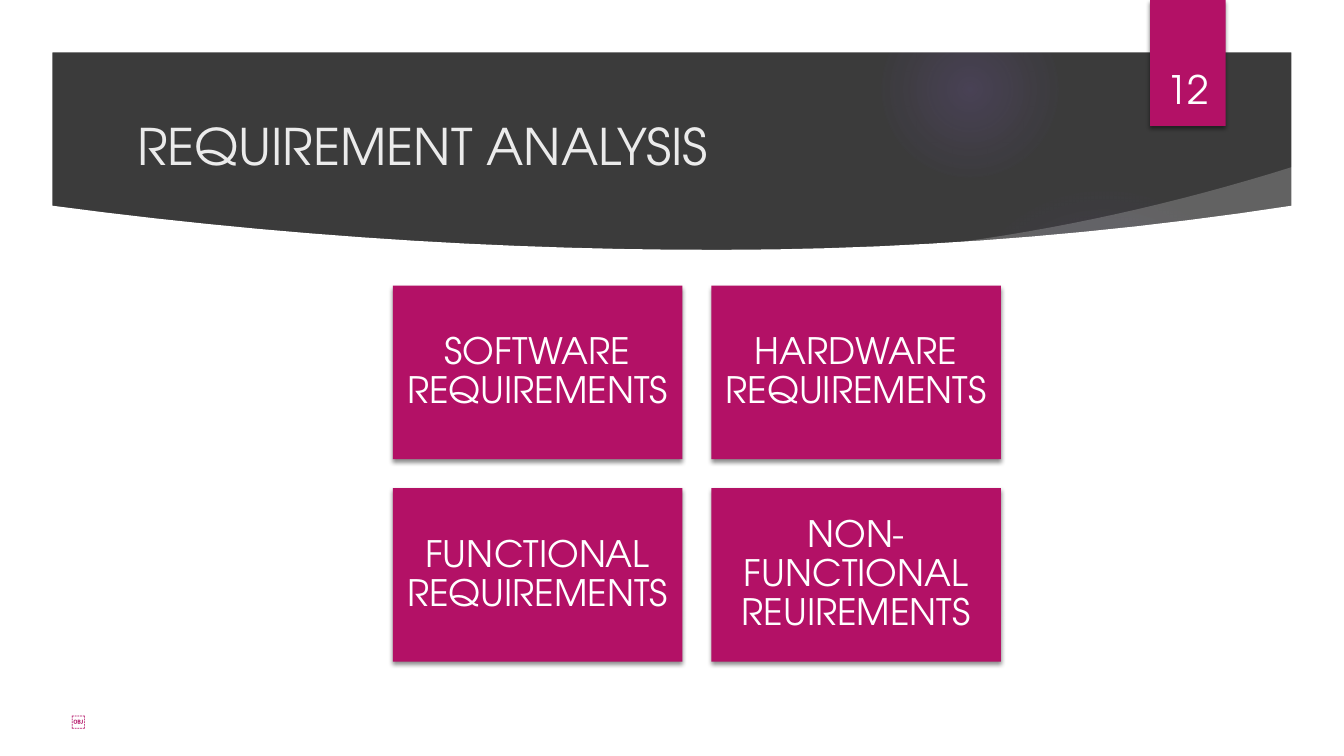
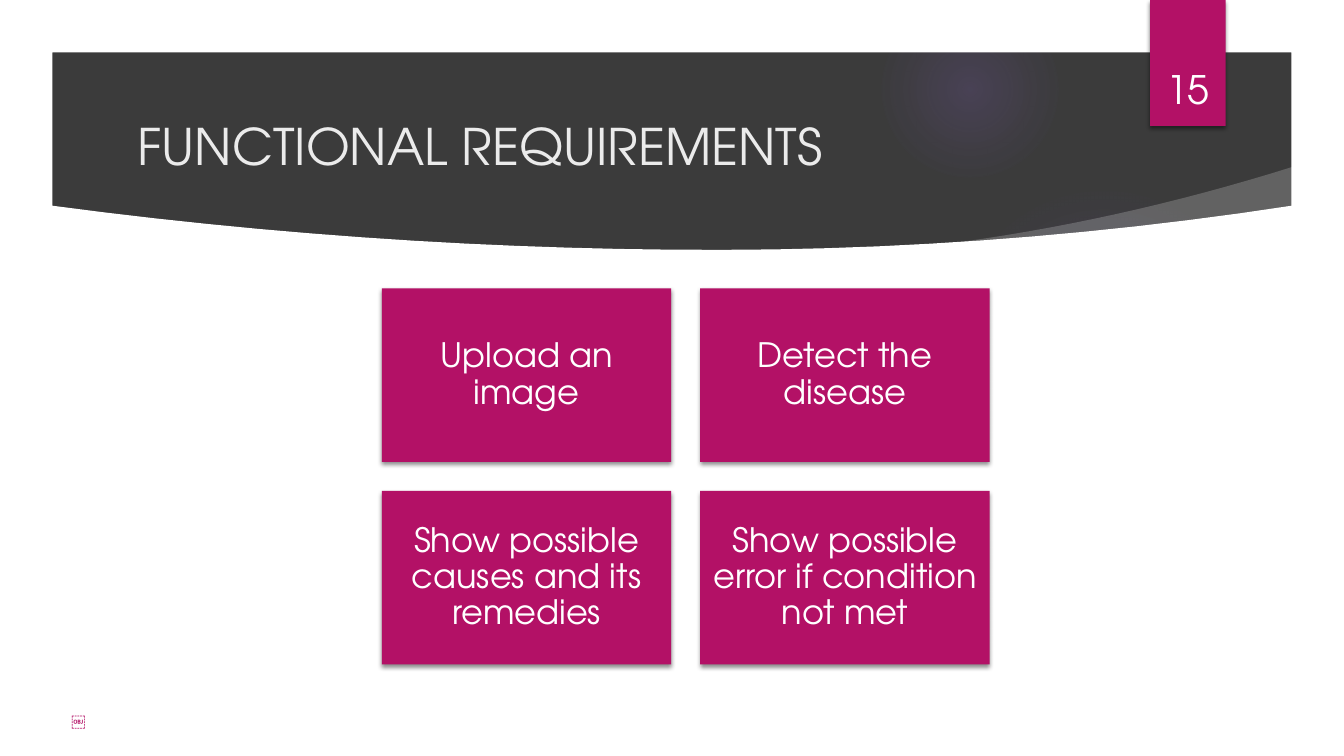
from lxml import etree
from pptx import Presentation
from pptx.dml.color import RGBColor
from pptx.enum import shapes, text
from pptx.oxml import ns
from pptx.util import Pt

WIDE, HIGH = 960, 540
LEFT, RIGHT, TOP = 37.5, 922.5, 37.5
CARD_W, CARD_H, GAP = 206.75, 124, 20.7


def color(code):
    return RGBColor.from_string(code)


def node(tag, parent=None, **attrs):
    name = ns.qn(tag)
    attrs = {key: str(val) for key, val in attrs.items()}
    if parent is None:
        return etree.Element(name, attrs)
    return etree.SubElement(parent, name, attrs)


def tint(parent, code, alpha):
    """Add a colour with an opacity in percent."""
    node("a:alpha", node("a:srgbClr", parent, val=code), val=alpha * 1000)


def arch(steps=24):
    """Points of the band's lower edge, right to left."""
    mid, low, rise = 511, 178.5, 31.5
    points = []
    for i in range(steps + 1):
        x = RIGHT + (LEFT - RIGHT) * i / steps
        half = (RIGHT if x > mid else LEFT) - mid
        points.append((x, low - rise * ((x - mid) / half) ** 2))
    return points


def sweep(steps=16):
    """Points of the pale swoosh's upper edge, left to right."""
    parts = [i / steps for i in range(steps + 1)]
    return [(670 + 254 * t, 175 - 32 * t - 24 * t * t) for t in parts]


class Deck:
    """Holds the shared style and the current slide."""
    font = "TeX Gyre Adventor"
    dark, white, pale = "3B3B3B", "FFFFFF", "EBEBEB"
    pink, violet = "B31166", "9B6BF2"

    def __init__(self):
        self.prs = Presentation()
        self.prs.slide_width, self.prs.slide_height = Pt(WIDE), Pt(HIGH)
        self.slide = None

    def page(self, title, number):
        self.slide = self.prs.slides.add_slide(self.prs.slide_layouts[5])
        back = self.slide.background.fill
        back.solid()
        back.fore_color.rgb = color(self.dark)
        self.glow(677.5, 132, 222, ((0, 7), (36, 6), (69, 0)))
        self.glow(630, 0.75, 126, ((0, 14), (36, 7), (73, 0)))
        self.outline([sweep() + [(928, 154), (672, 180)]], 20)
        frame = [(0, 0), (0, HIGH), (WIDE, HIGH), (WIDE, 0)]
        self.outline([frame, [(LEFT, TOP), (RIGHT, TOP)] + arch()])
        self.tab(number)
        self.title(title)
        self.footer("￼")

    def plain(self, shape, fill):
        shape.shadow.inherit = False
        shape.line.fill.background()
        shape.fill.solid()
        shape.fill.fore_color.rgb = color(fill)
        return shape

    def shape(self, kind, x, y, w, h, fill):
        box = self.slide.shapes.add_shape(kind, Pt(x), Pt(y), Pt(w), Pt(h))
        return self.plain(box, fill)

    def glow(self, x, y, size, stops):
        oval = self.shape(shapes.MSO_SHAPE.OVAL, x, y, size, size, self.violet)
        grad = node("a:gradFill", rotWithShape=1)
        row = node("a:gsLst", grad)
        for pos, alpha in stops:
            tint(node("a:gs", row, pos=pos * 1000), self.violet, alpha)
        ring = node("a:path", grad, path="circle")
        node("a:fillToRect", ring, l=50000, t=50000, r=50000, b=50000)
        props = oval._element.spPr
        props.replace(props.find(ns.qn("a:solidFill")), grad)

    def outline(self, rings, alpha=100):
        """Draw closed rings as one white shape; inner rings are holes."""
        pen = None
        for ring in rings:
            x, y = ring[0]
            if pen is None:
                pen = self.slide.shapes.build_freeform(Pt(x), Pt(y))
            else:
                pen.move_to(Pt(x), Pt(y))
            pen.add_line_segments([(Pt(a), Pt(b)) for a, b in ring[1:]])
        form = self.plain(pen.convert_to_shape(), self.white)
        if alpha < 100:
            fill = form._element.spPr.find(ns.qn("a:solidFill"))
            node("a:alpha", fill[0], val=alpha * 1000)

    def block(self, x, y, w, h):
        """Add a pink rectangle with a soft shadow below it."""
        box = self.shape(shapes.MSO_SHAPE.RECTANGLE, x, y, w, h, self.pink)
        effects = box._element.spPr.find(ns.qn("a:effectLst"))
        drop = node("a:outerShdw", effects, blurRad=Pt(3), dist=Pt(2),
                    dir=5400000, rotWithShape=0)
        tint(drop, "000000", 45)
        return box

    def label(self, shape, words, size, fill, bold=False, center=False):
        frame = shape.text_frame
        frame.word_wrap = True
        frame.auto_size = text.MSO_AUTO_SIZE.NONE
        frame.vertical_anchor = text.MSO_ANCHOR.MIDDLE
        para = frame.paragraphs[0]
        align = text.PP_ALIGN
        para.alignment = align.CENTER if center else align.LEFT
        run = para.add_run()
        run.text = words
        run.font.name, run.font.size = self.font, Pt(size)
        run.font.bold = bold
        run.font.color.rgb = color(fill)
        return frame

    def tab(self, number):
        box = self.block(821.5, 0, 54, 90)
        frame = self.label(box, str(number), 28, self.white, center=True)
        frame.vertical_anchor = text.MSO_ANCHOR.BOTTOM
        frame.margin_left = frame.margin_right = 0
        frame.margin_bottom = Pt(10)

    def title(self, words):
        head = self.slide.shapes.title
        head.left, head.top = Pt(90.75), Pt(76.5)
        head.width, head.height = Pt(690), Pt(55)
        self.label(head, words, 36, self.pale)
        self.slide.shapes._spTree.append(head._element)

    def footer(self, words):
        box = self.slide.shapes.add_textbox(Pt(44), Pt(503), Pt(304), Pt(24))
        self.label(box, words, 10, self.pink, bold=True)

    def cards(self, left, top, size, inset, names):
        """Lay the names out as cards, two to a row."""
        for i, name in enumerate(names):
            row, col = divmod(i, 2)
            box = self.block(left + col * (CARD_W + GAP),
                             top + row * (CARD_H + GAP), CARD_W, CARD_H)
            frame = self.label(box, name, size, self.white, center=True)
            frame.margin_left = frame.margin_right = Pt(inset)
            frame.margin_top = frame.margin_bottom = Pt(inset)
            frame.paragraphs[0].line_spacing = 0.9


def main():
    deck = Deck()
    deck.page("REQUIREMENT ANALYSIS", 12)
    deck.cards(280.75, 204, 26, 7.8, [
        "SOFTWARE REQUIREMENTS", "HARDWARE REQUIREMENTS",
        "FUNCTIONAL REQUIREMENTS", "NON-FUNCTIONAL REUIREMENTS"])
    deck.page("FUNCTIONAL REQUIREMENTS", 15)
    deck.cards(272.75, 206, 24, 7.2, [
        "Upload an image", "Detect the disease",
        "Show possible causes and its remedies",
        "Show possible error if condition not met"])
    deck.prs.save("out.pptx")


if __name__ == "__main__":
    main()
